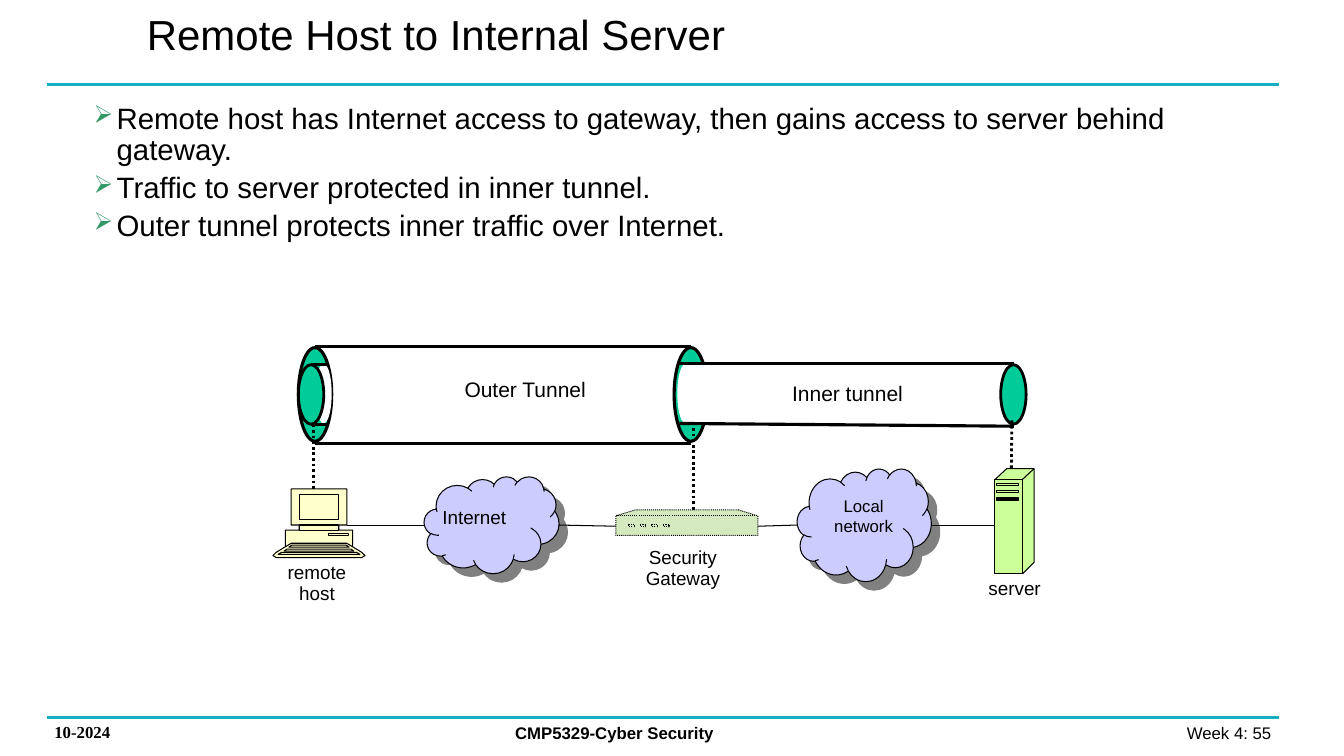
from dataclasses import dataclass
from pptx import Presentation
from pptx.dml.color import RGBColor
from pptx.enum.dml import MSO_LINE
from pptx.enum.shapes import MSO_CONNECTOR, MSO_SHAPE
from pptx.enum.text import MSO_ANCHOR, PP_ALIGN as Align
from pptx.oxml import parse_xml
from pptx.oxml.ns import nsdecls
from pptx.util import Cm, Pt

HEX = {"black": "000000", "white": "FFFFFF", "teal": "16AFC2", "green": "00CC99",
       "bullet": "339966", "cloud": "CCCCFF", "shade": "808080",
       "cream": "FFFFCC", "sage": "D4EABE", "lime": "CCFF99"}
Points = list[tuple[float, float]]


@dataclass
class Shape:
    kind: MSO_SHAPE
    box: tuple[float, float, float, float]
    fill: str
    edge: float = 0
    shade: bool = False


@dataclass
class Line:
    start: tuple[float, float]
    end: tuple[float, float]
    width: float = 0.75
    tint: str = "black"
    dots: bool = False


@dataclass
class Label:
    lines: list[str]
    box: tuple[float, float, float, float]
    size: float
    align: Align = Align.CENTER
    bold: bool = False
    font: str = "Arial"
    tight: bool = False
    wrap: bool = True
    anchor: MSO_ANCHOR = MSO_ANCHOR.TOP


@dataclass
class Part:
    points: Points
    fill: str
    closed: bool = True
    dots: bool = False


deck = Presentation()
deck.slide_width, deck.slide_height = Cm(33.87), Cm(19.05)
slide = deck.slides.add_slide(deck.slide_layouts[6])
shapes = slide.shapes


def color(name: str) -> RGBColor:
    return RGBColor.from_string(HEX[name])


def stroke(line, width: float, tint: str = "black", dots: bool = False) -> None:
    line.color.rgb = color(tint)
    line.width = Pt(width)
    if dots:
        line.dash_style = MSO_LINE.ROUND_DOT


def paint(shape, fill: str) -> None:
    shape.fill.solid()
    shape.fill.fore_color.rgb = color(fill)


def draw_shape(item: Shape) -> None:
    shape = shapes.add_shape(item.kind, *map(Cm, item.box))
    shape.shadow.inherit = False
    paint(shape, item.fill)
    if item.edge:
        stroke(shape.line, item.edge)
    else:
        shape.line.fill.background()
    if item.shade:
        effects = shape._element.spPr.find(
            "{http://schemas.openxmlformats.org/drawingml/2006/main}effectLst")
        effects.append(parse_xml(
            f'<a:outerShdw {nsdecls("a")} dist="107950" dir="2700000" algn="ctr" '
            f'rotWithShape="0"><a:srgbClr val="{HEX["shade"]}"/></a:outerShdw>'))


def draw_line(item: Line) -> None:
    line = shapes.add_connector(MSO_CONNECTOR.STRAIGHT, *map(Cm, item.start + item.end))
    stroke(line.line, item.width, item.tint, item.dots)
    line._element.spPr.append(parse_xml(f'<a:effectLst {nsdecls("a")}/>'))


def draw_part(item: Part) -> None:
    first, *rest = [(Cm(x), Cm(y)) for x, y in item.points]
    pen = shapes.build_freeform(*first)
    pen.add_line_segments(rest, close=item.closed)
    shape = pen.convert_to_shape()
    shape.shadow.inherit = False
    if item.closed:
        paint(shape, item.fill)
    else:
        shape.fill.background()
    stroke(shape.line, 0.75, dots=item.dots)


def add_run(para, text: str, size: float, font: str = "Arial", bold: bool = False) -> None:
    run = para.add_run()
    run.text = text
    run.font.name, run.font.size, run.font.bold = font, Pt(size), bold
    run.font.color.rgb = color("black")


def draw_label(item: Label) -> None:
    frame = shapes.add_textbox(*map(Cm, item.box)).text_frame
    frame.word_wrap, frame.vertical_anchor = item.wrap, item.anchor
    for i, text in enumerate(item.lines):
        para = frame.paragraphs[0] if i == 0 else frame.add_paragraph()
        para.alignment = item.align
        if item.tight:
            para.line_spacing = 0.5
            if i:
                para.space_before = Pt(item.size / 2)
        add_run(para, text, item.size, item.font, item.bold)


def draw_list(lines: list[str], box: tuple[float, float, float, float]) -> None:
    frame = shapes.add_textbox(*map(Cm, box)).text_frame
    frame.word_wrap = True
    for i, text in enumerate(lines):
        para = frame.paragraphs[0] if i == 0 else frame.add_paragraph()
        props = para._p.get_or_add_pPr()
        props.set("marL", str(Cm(1.55)))
        props.set("indent", str(-Cm(0.58)))
        for mark in (f'buClr {nsdecls("a")}><a:srgbClr val="{HEX["bullet"]}"/></a:buClr',
                     f'buSzPct {nsdecls("a")} val="85000"/',
                     f'buChar {nsdecls("a")} char="➢"/'):
            props.append(parse_xml(f"<a:{mark}>"))
        para.line_spacing = 0.9
        if i:
            para.space_before = Pt(4.2)
        add_run(para, text, 21)


def mirror(mid: float, half: Points) -> Points:
    """Points given as offsets from a vertical axis, reflected to both sides."""
    return [(mid + x, y) for x, y in half] + [(mid - x, y) for x, y in reversed(half)]


def block(x: float, y: float, w: float, h: float) -> Points:
    return [(x, y), (x + w, y), (x + w, y + h), (x, y + h)]


# Frame rules, title and bullets
for y in (2.13, 18.08):
    draw_line(Line((1.19, y), (32.23, y), 2.25, "teal"))
draw_label(Label(["Remote Host to Internal Server"], (3.45, 0.03, 22.12, 1.65), 30,
                 Align.LEFT, anchor=MSO_ANCHOR.MIDDLE))
draw_list(["Remote host has Internet access to gateway, then gains access to server "
           "behind gateway.",
           "Traffic to server protected in inner tunnel.",
           "Outer tunnel protects inner traffic over Internet."],
          (1.14, 2.49, 31.01, 3.45))

# Tunnels and clouds
OVAL, CLOUD = MSO_SHAPE.OVAL, MSO_SHAPE.CLOUD
for item in (
    Shape(OVAL, (7.52, 8.76, 0.84, 2.36), "green", 2.25),
    Shape(OVAL, (16.99, 8.76, 0.84, 2.36), "green", 2.25),
    Shape(MSO_SHAPE.RECTANGLE, (17.27, 9.17, 8.18, 1.47), "white"),
    Shape(OVAL, (17.07, 9.17, 0.41, 1.5), "white"),
    Shape(OVAL, (25.22, 9.19, 0.64, 1.5), "green", 2),
    Shape(OVAL, (7.95, 9.17, 0.41, 1.5), "white"),
    Shape(OVAL, (7.52, 9.19, 0.64, 1.5), "green", 2),
    Shape(CLOUD, (10.69, 12.01, 3.4, 2.44), "cloud", 0.75, True),
    Shape(CLOUD, (20.09, 11.81, 3.38, 2.84), "cloud", 0.75, True),
):
    draw_shape(item)

# Tunnel walls, dotted drops and wires
for item in (
    Line((7.85, 10.69), (8.28, 10.69), 2),
    Line((7.85, 9.19), (8.28, 9.19), 2),
    Line((7.95, 11.18), (17.42, 11.18), 2.25),
    Line((7.95, 8.74), (17.42, 8.74), 2.25),
    Line((25.55, 10.74), (17.12, 10.67), 2.25),
    Line((25.55, 9.17), (17.12, 9.17), 2.25),
    Line((7.9, 10.69), (7.9, 13.26), 2, dots=True),
    Line((25.5, 10.59), (25.48, 12.52), 2, dots=True),
    Line((17.48, 10.64), (17.48, 13.23), 2, dots=True),
    Line((8.74, 13.23), (10.69, 13.23)),
    Line((14.07, 13.23), (15.52, 13.26)),
    Line((20.09, 13.23), (19.1, 13.26)),
    Line((23.47, 13.23), (25.07, 13.23)),
):
    draw_line(item)

# Remote host: body, screen, neck, keyboard rows, desk edge, drive slot
host = [
    [(0.7, 12.32), (0.7, 13.23), (0.5, 13.23), (0.5, 13.36), (0.85, 13.36),
     (0.85, 13.78), (1.08, 13.92), (1.16, 14), (1.08, 14.05)],
    [(0.5, 12.47), (0.5, 13.08)], [(0.5, 13.23), (0.5, 13.36)],
    [(0.69, 13.74), (0.76, 13.79)], [(0.81, 13.84), (0.88, 13.89)],
    [(0.95, 13.92), (1.03, 13.97)]]
parts = [Part(mirror(8.04, half), "cream") for half in host]
parts += [Part(mirror(8.04, [(0.85, 13.78), (0.7, 13.69)]), "cream", closed=False),
          Part(block(8.28, 13.44, 0.51, 0.05), "cream")]

# Gateway: body, front face, ports
parts += [Part(mirror(17.31, [(1.3, 12.85), (1.79, 13), (1.79, 13.49)]), "sage", dots=True),
          Part([(15.52, 13), (19.1, 13)], "sage", closed=False, dots=True)]
parts += [Part(block(15.85 + 0.29 * i, 13.21, 0.14, 0.07), "sage", dots=True)
          for i in range(4)]

# Server: body, front face, top edge, drive slots
parts += [Part([(25.07, 12.09), (25.37, 11.81), (26.06, 11.81), (26.06, 14.17),
                (25.78, 14.45), (25.07, 14.45)], "lime"),
          Part(block(25.07, 12.09, 0.69, 2.36), "lime"),
          Part([(25.76, 12.09), (26.06, 11.81)], "lime", closed=False)]
parts += [Part(block(25.12, 12.19 + 0.18 * i, 0.56, 0.05), "lime") for i in range(3)]
for item in parts:
    draw_part(item)

# Labels and footer
for item in (
    Label(["Outer Tunnel "], (8.56, 9.37, 9.5, 0.89), 15),
    Label(["Inner tunnel"], (17.27, 9.17, 8.18, 1.47), 15, anchor=MSO_ANCHOR.MIDDLE),
    Label(["Internet"], (10.9, 12.62, 2.13, 0.84), 13.5, Align.LEFT, wrap=False),
    Label(["Local network"], (20.29, 12.37, 2.95, 1.27), 12),
    Label(["remote", "host"], (6.3, 14.25, 3.38, 1.17), 13.5, tight=True),
    Label(["Security", "Gateway"], (15.52, 13.87, 3.38, 1.17), 13.5, tight=True),
    Label(["server"], (23.88, 14.66, 3.38, 0.58), 13.5, tight=True),
    Label(["10-2024"], (1.12, 18.06, 4.52, 0.76), 12, Align.LEFT, True, "Times New Roman"),
    Label(["CMP5329-Cyber Security"], (12.73, 18.08, 10.39, 0.76), 12, Align.LEFT, True),
    Label(["Week 4: 55 "], (24.94, 18.08, 7.47, 0.76), 12, Align.RIGHT),
):
    draw_label(item)

deck.save("out.pptx")
